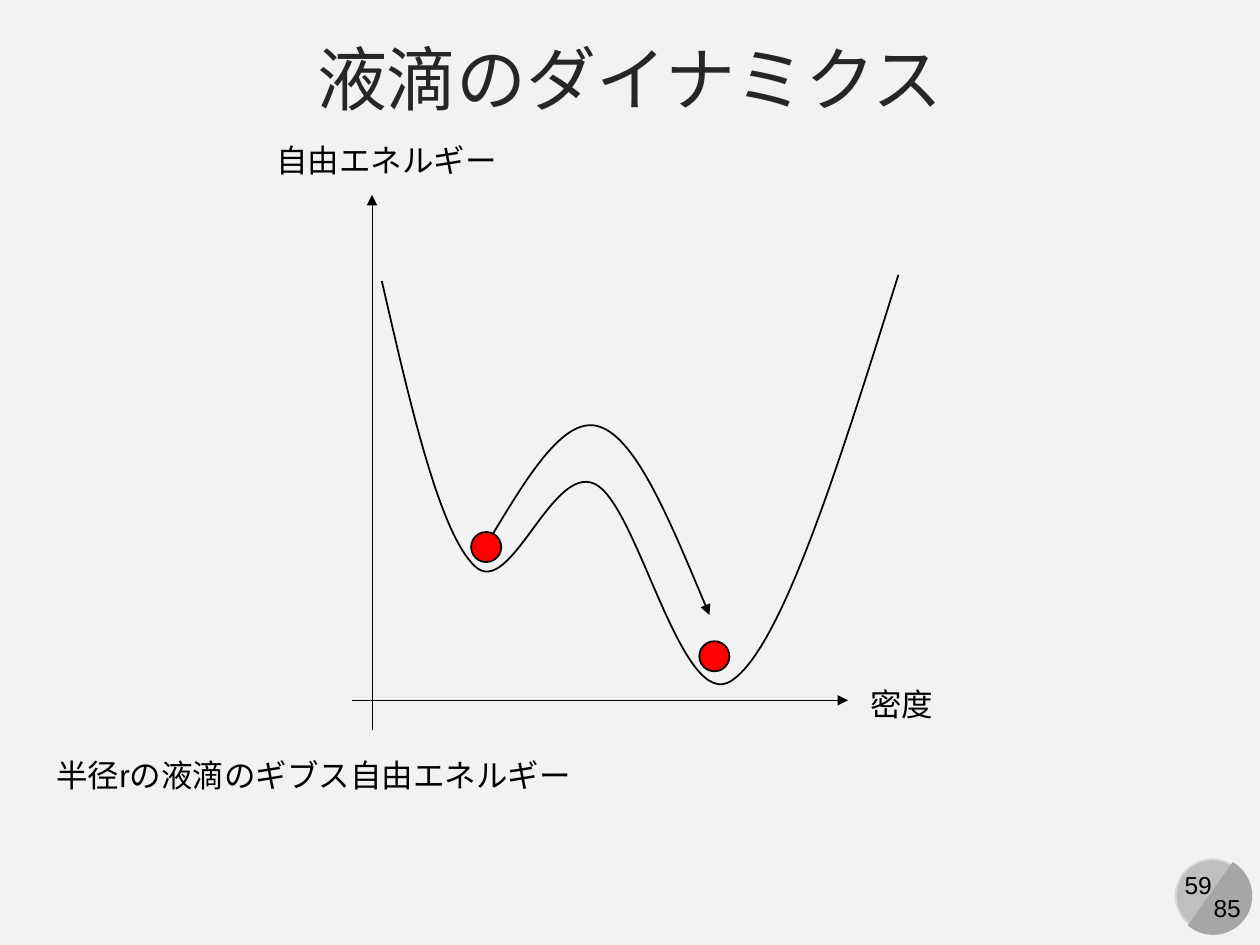
from dataclasses import dataclass
from typing import Optional

from lxml import etree
from pptx import Presentation
from pptx import util as u
from pptx.dml.color import RGBColor
from pptx.enum import shapes, text
from pptx.oxml.ns import qn

COLORS = {
    "background": "F2F2F2", "ink": "000000", "title": "262626", "ball": "FF0000",
    "badge": "BFBFBF", "badge_edge": "D9D9D9", "badge_shade": "A6A6A6",
}
FONT = "Arial"
LEFT, CENTER = text.PP_ALIGN.LEFT, text.PP_ALIGN.CENTER
TOP, MIDDLE = text.MSO_ANCHOR.TOP, text.MSO_ANCHOR.MIDDLE


@dataclass
class Label:
    words: str
    x: float
    y: float
    w: float
    h: float
    size: float = 18
    color: str = "ink"
    align: text.PP_ALIGN = LEFT
    anchor: text.MSO_ANCHOR = TOP
    wrap: bool = False


@dataclass
class Disc:
    x: float
    y: float
    size: float
    fill: str
    line: Optional[str] = None
    kind: shapes.MSO_SHAPE = shapes.MSO_SHAPE.OVAL
    rotation: float = 0
    adjustments: tuple = ()


@dataclass
class Axis:
    x1: float
    y1: float
    x2: float
    y2: float


@dataclass
class Curve:
    start: tuple
    segments: list  # each segment: two control points and an end point
    arrow: bool = False


def rgb(name: str) -> RGBColor:
    return RGBColor.from_string(COLORS[name])


def add_arrowhead(sp) -> None:
    etree.SubElement(sp.line._get_or_add_ln(), qn("a:tailEnd"), type="triangle")


def add_label(s, label: Label) -> None:
    sp = s.shapes.add_textbox(*map(u.Pt, (label.x, label.y, label.w, label.h)))
    tf = sp.text_frame
    tf.text = label.words
    tf.word_wrap = label.wrap
    tf.vertical_anchor = label.anchor
    p = tf.paragraphs[0]
    p.alignment = label.align
    r = p.runs[0]
    r.font.name, r.font.size = FONT, u.Pt(label.size)
    r.font.color.rgb = rgb(label.color)


def add_disc(s, disc: Disc) -> None:
    sp = s.shapes.add_shape(disc.kind, *map(u.Pt, (disc.x, disc.y, disc.size, disc.size)))
    sp.shadow.inherit = False
    sp.rotation = disc.rotation
    for i, value in enumerate(disc.adjustments):
        sp.adjustments[i] = value
    sp.fill.solid()
    sp.fill.fore_color.rgb = rgb(disc.fill)
    if disc.line:
        sp.line.color.rgb = rgb(disc.line)
        sp.line.width = u.Pt(1)
    else:
        sp.line.fill.background()


def add_axis(s, axis: Axis) -> None:
    sp = s.shapes.add_connector(shapes.MSO_CONNECTOR.STRAIGHT,
                                *map(u.Pt, (axis.x1, axis.y1, axis.x2, axis.y2)))
    sp.line.color.rgb = rgb("ink")
    sp.line.width = u.Pt(0.5)
    add_arrowhead(sp)
    etree.SubElement(sp._element.spPr, qn("a:effectLst"))


def add_curve(s, curve: Curve) -> None:
    ends = [segment[-1] for segment in curve.segments]
    builder = s.shapes.build_freeform(*map(u.Pt, curve.start))
    builder.add_line_segments([(u.Pt(x), u.Pt(y)) for x, y in ends], close=False)
    sp = builder.convert_to_shape()
    # Turn each straight segment into a cubic Bezier
    for line_to, segment in zip(list(sp._element.iter(qn("a:lnTo"))), curve.segments):
        bezier = etree.Element(qn("a:cubicBezTo"))
        for x, y in segment:
            etree.SubElement(bezier, qn("a:pt"),
                             x=str(u.Pt(x) - sp.left), y=str(u.Pt(y) - sp.top))
        line_to.getparent().replace(line_to, bezier)
    sp.shadow.inherit = False
    sp.fill.background()
    sp.line.color.rgb = rgb("ink")
    sp.line.width = u.Pt(1)
    if curve.arrow:
        add_arrowhead(sp)


def main() -> None:
    prs = Presentation()
    prs.slide_width, prs.slide_height = u.Pt(720), u.Pt(540)
    s = prs.slides.add_slide(prs.slide_layouts[6])
    s.background.fill.solid()
    s.background.fill.fore_color.rgb = rgb("background")

    # Page badge
    add_disc(s, Disc(671.8, 491, 41.8, "badge", "badge_edge"))
    add_label(s, Label("59", 668.9, 493.9, 31.7, 24.5, 14, align=CENTER))
    add_disc(s, Disc(671, 489.6, 44.6, "badge_shade", kind=shapes.MSO_SHAPE.CHORD,
                     rotation=255, adjustments=(27, 141.424)))
    add_label(s, Label("85", 686.2, 506.9, 30.2, 24.5, 14, align=CENTER))

    # Title
    add_label(s, Label("液滴のダイナミクス", 0, 15, 720, 59, 40, "title", CENTER, MIDDLE, True))

    # Free energy curve
    add_curve(s, Curve((218.2, 160.6), [
        ((234.7, 232.6), (251.3, 304.6), (271.4, 323.6)),
        ((291.6, 342.7), (315.4, 265), (339.8, 276.5)),
        ((364.3, 287.3), (389.5, 409), (418.3, 388.8)),
        ((447.1, 369.4), (480.2, 262.8), (513.4, 157)),
    ]))

    # Density axis, droplets and the path between the two minima
    add_axis(s, Axis(201.4, 400.2, 484.6, 400.2))
    for x, y in ((269.2, 304), (399.6, 366.4)):
        add_disc(s, Disc(x, y, 17.2, "ball", "ink"))
    add_curve(s, Curve((281.5, 305.3), [
        ((302.4, 270.7), (323.3, 236.2), (343.4, 244.1)),
        ((364.3, 252), (384.5, 301.7), (405.4, 351.4)),
    ], arrow=True))

    # Free energy axis
    add_axis(s, Axis(212.6, 417.2, 212.6, 111.4))

    # Labels
    for label in (
        Label("密度", 490.3, 388.1, 51, 29),
        Label("自由エネルギー", 150.8, 77, 141.8, 29),
        Label("半径rの液滴のギブス自由エネルギー", 25.2, 428.4, 311.8, 29, wrap=True),
    ):
        add_label(s, label)

    prs.save("out.pptx")


if __name__ == "__main__":
    main()
